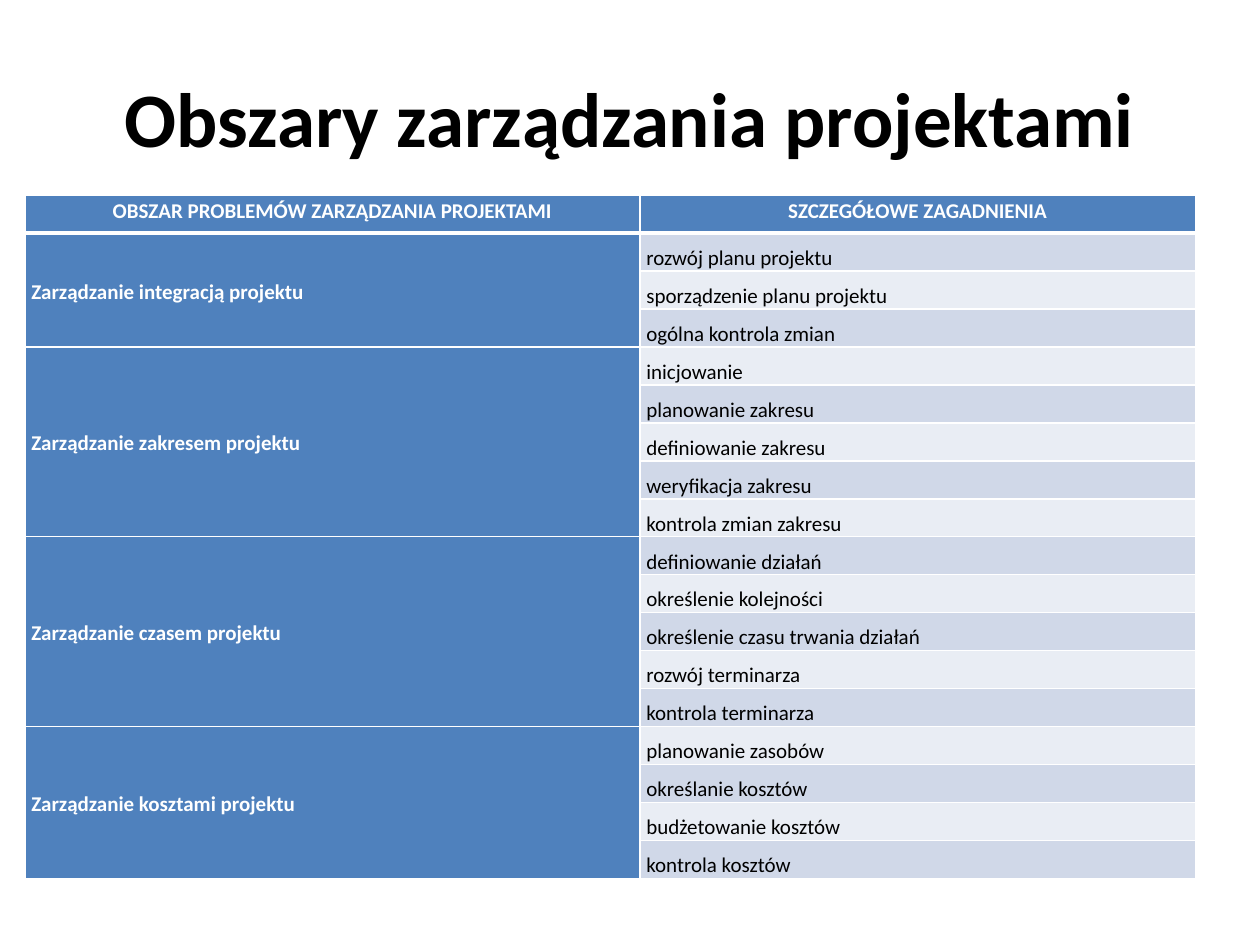
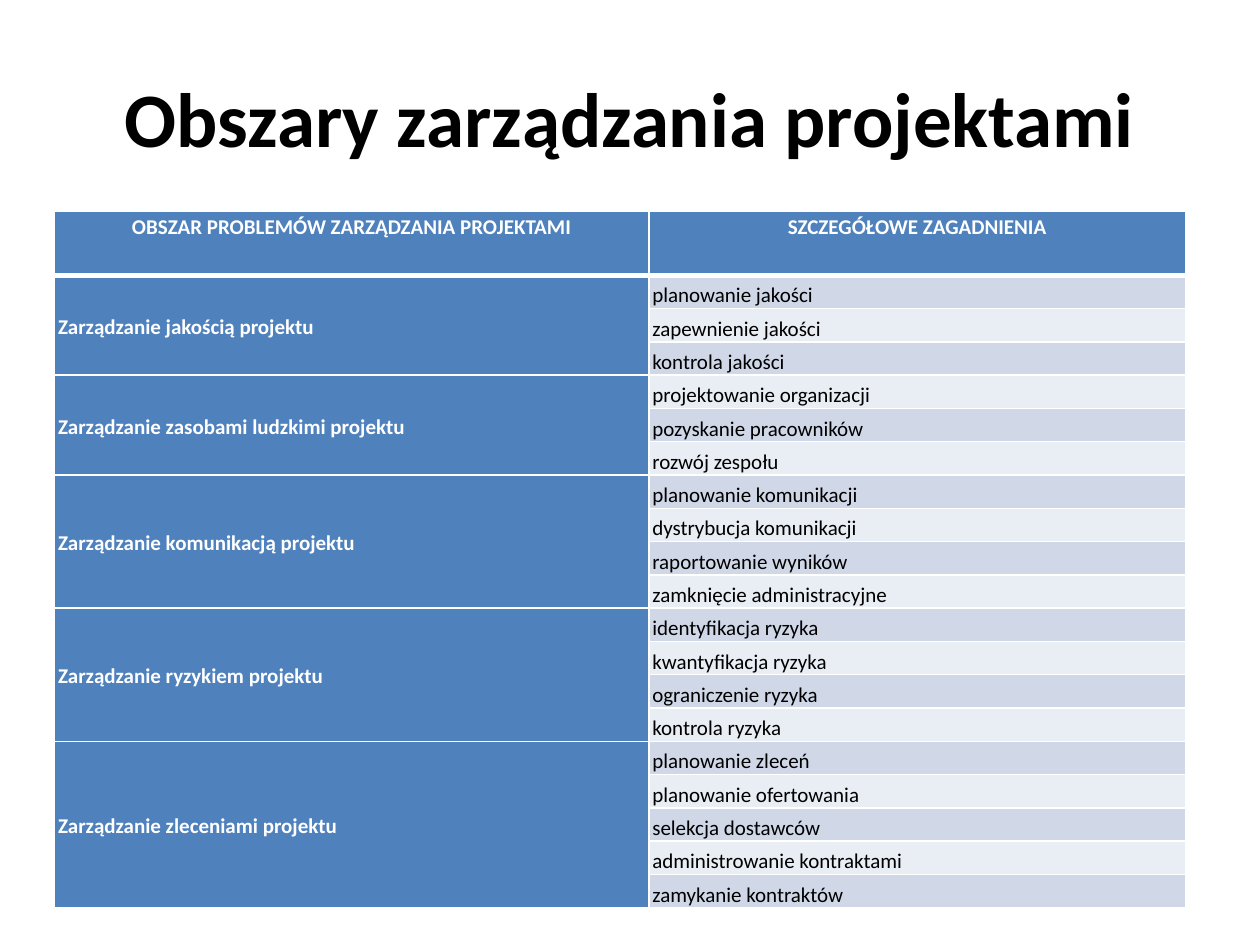
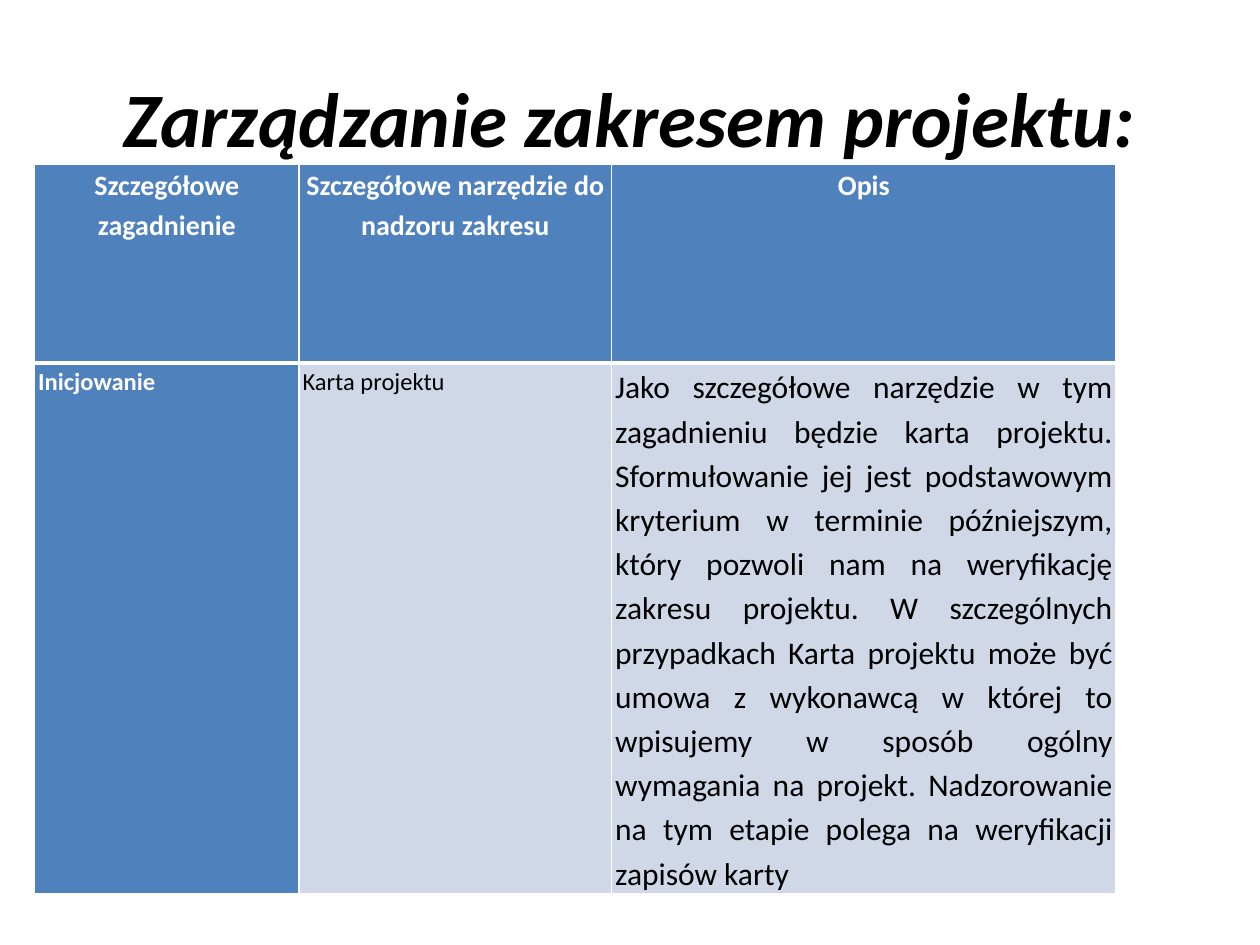
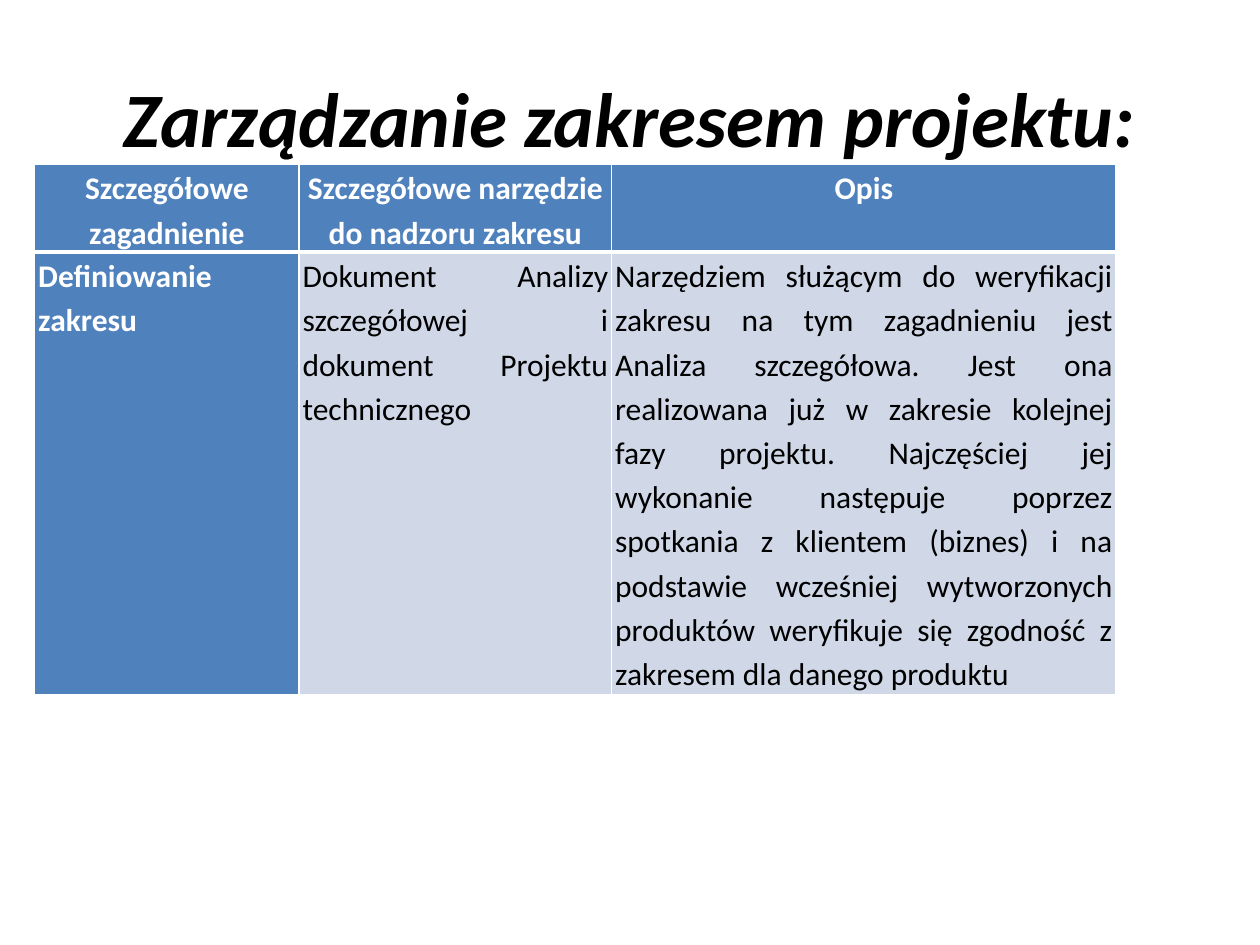
from pptx import Presentation
from pptx.dml.color import RGBColor
from pptx.enum.text import MSO_ANCHOR, PP_ALIGN
from pptx.oxml import parse_xml
from pptx.oxml.ns import nsdecls
from pptx.util import Cm, Pt

COLORS = {"head": "4F81BD", "dark_band": "D0D8E8", "light_band": "E9EDF4",
          "white": "FFFFFF", "black": "000000"}
FONT = "Calibri"
LINE_SPACING = 1.15
THIN, THICK = 1, 3

AREAS_TITLE = "Obszary zarządzania projektami"
AREAS_HEADER = ("OBSZAR PROBLEMÓW ZARZĄDZANIA PROJEKTAMI", "SZCZEGÓŁOWE ZAGADNIENIA")
AREAS_SIZE = 12
AREA_SLIDES = [
    {
        "origin": (0.5, 3.93), "widths": (12.4, 11.2), "inset": 0.13,
        "header_height": 0.77, "height": 13.79,
        "areas": [
            ("Zarządzanie integracją projektu",
             ["rozwój planu projektu", "sporządzenie planu projektu", "ogólna kontrola zmian"]),
            ("Zarządzanie zakresem projektu",
             ["inicjowanie", "planowanie zakresu", "definiowanie zakresu",
              "weryfikacja zakresu", "kontrola zmian zakresu"]),
            ("Zarządzanie czasem projektu",
             ["definiowanie działań", "określenie kolejności",
              "określenie czasu trwania działań", "rozwój terminarza", "kontrola terminarza"]),
            ("Zarządzanie kosztami projektu",
             ["planowanie zasobów", "określanie kosztów", "budżetowanie kosztów",
              "kontrola kosztów"]),
        ],
    },
    {
        "origin": (1.1, 4.25), "widths": (11.98, 10.82), "inset": 0.07,
        "header_height": 1.3, "height": 14.06,
        "areas": [
            ("Zarządzanie jakością projektu",
             ["planowanie jakości", "zapewnienie jakości", "kontrola jakości"]),
            ("Zarządzanie zasobami ludzkimi projektu",
             ["projektowanie organizacji", "pozyskanie pracowników", "rozwój zespołu"]),
            ("Zarządzanie komunikacją projektu",
             ["planowanie komunikacji", "dystrybucja komunikacji", "raportowanie wyników",
              "zamknięcie administracyjne"]),
            ("Zarządzanie ryzykiem projektu",
             ["identyfikacja ryzyka", "kwantyfikacja ryzyka", "ograniczenie ryzyka",
              "kontrola ryzyka"]),
            ("Zarządzanie zleceniami projektu",
             ["planowanie zleceń", "planowanie ofertowania", "selekcja dostawców",
              "administrowanie kontraktami", "zamykanie kontraktów"]),
        ],
    },
]

SCOPE_TITLE = "Zarządzanie zakresem projektu:"
SCOPE_HEADER = ("Szczegółowe zagadnienie", "Szczegółowe narzędzie do nadzoru zakresu", "Opis")
SCOPE_ORIGIN = (0.7, 3.31)
SCOPE_WIDTHS = (5.33, 6.3, 10.17)
SCOPE_INSET = 0.07
SCOPE_SLIDES = [
    {
        "heights": (4.01, 10.7), "header_size": 16, "sizes": (14, 14, 18),
        "texts": (
            "Inicjowanie",
            "Karta projektu",
            "Jako szczegółowe narzędzie w tym zagadnieniu będzie karta projektu. "
            "Sformułowanie jej jest podstawowym kryterium w terminie późniejszym, który "
            "pozwoli nam na weryfikację zakresu projektu. W szczególnych przypadkach Karta "
            "projektu może być umowa z wykonawcą w której to wpisujemy w sposób ogólny "
            "wymagania na projekt. Nadzorowanie na tym etapie polega na weryfikacji "
            "zapisów karty",
        ),
    },
    {
        "heights": (1.77, 8.93), "header_size": 18, "sizes": (18, 18, 18),
        "texts": (
            "Definiowanie zakresu",
            "Dokument Analizy szczegółowej i dokument Projektu technicznego",
            "Narzędziem służącym do weryfikacji zakresu na tym zagadnieniu jest Analiza "
            "szczegółowa. Jest ona realizowana już w zakresie kolejnej fazy projektu. "
            "Najczęściej jej wykonanie następuje poprzez spotkania z klientem (biznes) i na "
            "podstawie wcześniej wytworzonych produktów weryfikuje się zgodność z zakresem "
            "dla danego produktu",
        ),
    },
]


def add_text(paragraph, text, size, color, bold, italic=False):
    run = paragraph.add_run()
    run.text = text
    run.font.name = FONT
    run.font.size = Pt(size)
    run.font.bold = bold
    run.font.italic = italic
    run.font.color.rgb = RGBColor.from_string(COLORS[color])


def add_titled_slide(presentation, title, italic=False):
    slide = presentation.slides.add_slide(presentation.slide_layouts[6])
    frame = slide.shapes.add_textbox(Cm(1.27), Cm(0.76), Cm(22.86), Cm(3.18)).text_frame
    frame.word_wrap = True
    frame.vertical_anchor = MSO_ANCHOR.MIDDLE
    frame.paragraphs[0].alignment = PP_ALIGN.CENTER
    add_text(frame.paragraphs[0], title, 44, "black", True, italic)
    return slide


def style_cell(cell, fill, top, bottom):
    properties = cell._tc.get_or_add_tcPr()
    for side, width in (("L", THIN), ("R", THIN), ("T", top), ("B", bottom)):
        properties.append(parse_xml(
            f'<a:ln{side} {nsdecls("a")} w="{Pt(width)}"><a:solidFill>'
            f'<a:srgbClr val="{COLORS["white"]}"/></a:solidFill></a:ln{side}>'))
    cell.fill.solid()
    cell.fill.fore_color.rgb = RGBColor.from_string(COLORS[fill])


def write_cell(cell, text, size, inset, alignment, anchor=MSO_ANCHOR.TOP, heading=True):
    cell.margin_left = cell.margin_right = Cm(inset)
    cell.margin_top = cell.margin_bottom = 0
    cell.vertical_anchor = anchor
    paragraph = cell.text_frame.paragraphs[0]
    paragraph.alignment = alignment
    paragraph.line_spacing = LINE_SPACING
    add_text(paragraph, text, size, "white" if heading else "black", heading)


def add_banded_table(slide, origin, widths, heights, header, header_size, inset):
    left, top = origin
    table = slide.shapes.add_table(len(heights), len(widths), Cm(left), Cm(top),
                                   Cm(sum(widths)), Cm(sum(heights))).table
    table.first_row = table.horz_banding = False
    for column, width in zip(table.columns, widths):
        column.width = Cm(width)
    for index, (row, height) in enumerate(zip(table.rows, heights)):
        row.height = Cm(height)
        band = "dark_band" if index % 2 else "light_band"
        for position, cell in enumerate(row.cells):
            style_cell(cell, "head" if index == 0 or position == 0 else band,
                       THICK if index == 1 else THIN, THICK if index == 0 else THIN)
    for cell, text in zip(table.rows[0].cells, header):
        write_cell(cell, text, header_size, inset, PP_ALIGN.CENTER)
    return table


def add_areas_slide(presentation, content):
    slide = add_titled_slide(presentation, AREAS_TITLE)
    inset, header_height = content["inset"], content["header_height"]
    count = sum(len(topics) for _, topics in content["areas"])
    heights = [header_height] + [(content["height"] - header_height) / count] * count
    table = add_banded_table(slide, content["origin"], content["widths"], heights,
                             AREAS_HEADER, AREAS_SIZE, inset)
    first = 1
    for area, topics in content["areas"]:
        area_cell = table.cell(first, 0)
        area_cell.merge(table.cell(first + len(topics) - 1, 0))
        write_cell(area_cell, area, AREAS_SIZE, inset, PP_ALIGN.LEFT, MSO_ANCHOR.MIDDLE)
        for row, topic in enumerate(topics, first):
            write_cell(table.cell(row, 1), topic, AREAS_SIZE, inset, PP_ALIGN.LEFT,
                       MSO_ANCHOR.BOTTOM, heading=False)
        first += len(topics)


def add_scope_slide(presentation, content):
    slide = add_titled_slide(presentation, SCOPE_TITLE, italic=True)
    table = add_banded_table(slide, SCOPE_ORIGIN, SCOPE_WIDTHS, content["heights"],
                             SCOPE_HEADER, content["header_size"], SCOPE_INSET)
    for column, (text, size) in enumerate(zip(content["texts"], content["sizes"])):
        write_cell(table.cell(1, column), text, size, SCOPE_INSET, PP_ALIGN.JUSTIFY,
                   heading=column == 0)


def main():
    presentation = Presentation()
    presentation.slide_width, presentation.slide_height = Cm(25.4), Cm(19.05)
    for content in AREA_SLIDES:
        add_areas_slide(presentation, content)
    for content in SCOPE_SLIDES:
        add_scope_slide(presentation, content)
    presentation.save("out.pptx")


if __name__ == "__main__":
    main()
